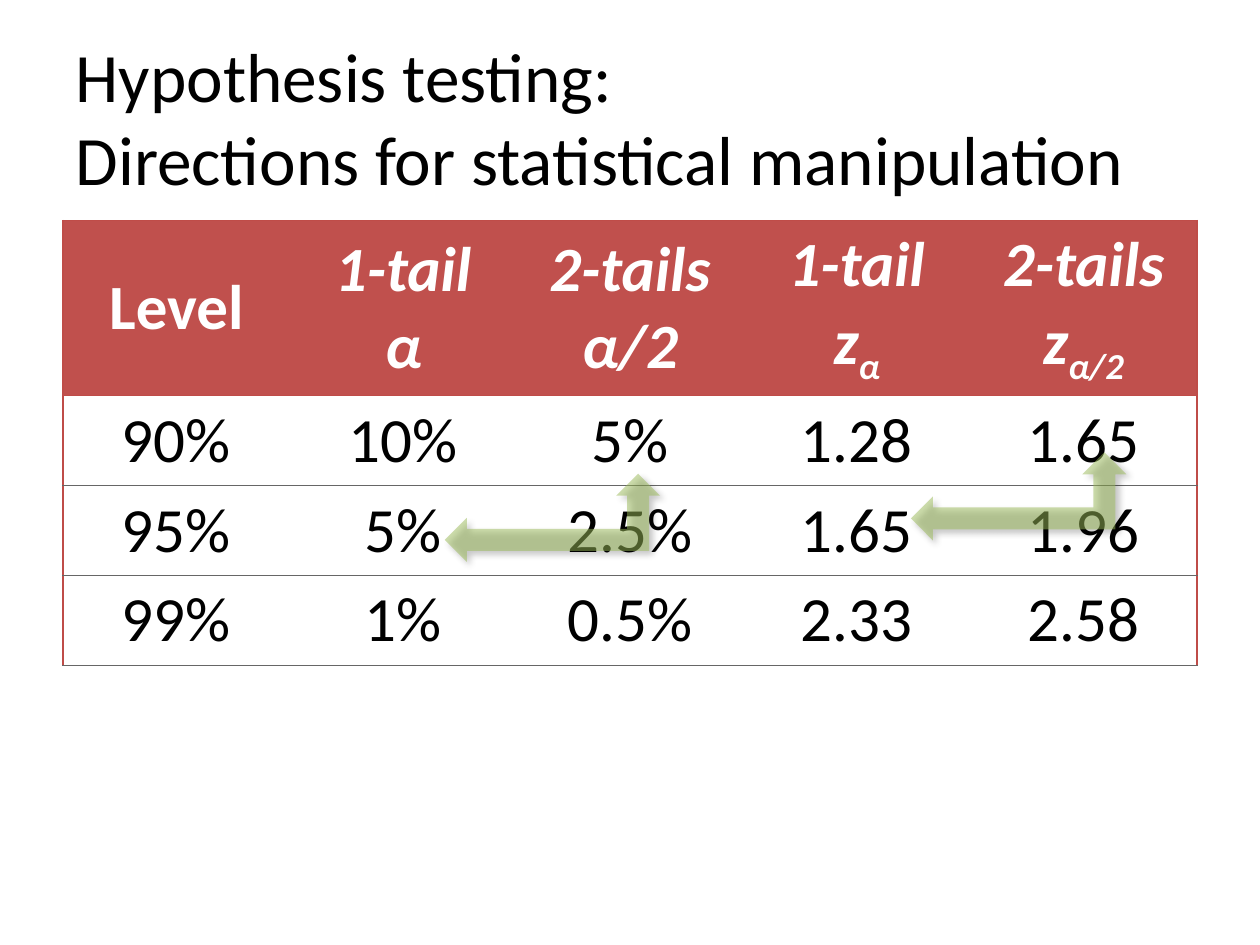
from typing import NamedTuple

from lxml.etree import SubElement as Sub
from pptx import Presentation
from pptx.dml.color import RGBColor as RGB
from pptx.enum.shapes import MSO_SHAPE as Shape
from pptx.enum.text import MSO_ANCHOR as Anchor, MSO_AUTO_SIZE as Fit, PP_ALIGN as Align
from pptx.oxml.ns import qn
from pptx.util import Inches, Pt

FONT = "Calibri"
COLORS = {
    "text": "000000",
    "white": "FFFFFF",
    "head": "C0504D",
    "edge": "BF4C48",
    "rule": "666666",
    "arrow": "9BBB59",
}


class Box(NamedTuple):
    left: float
    top: float
    width: float
    height: float

    def lengths(self) -> list:
        return [Inches(v) for v in self]


class Line(NamedTuple):
    color: str
    width: float


TITLE = Box(0.5, 0.3, 9, 1.25)
TABLE = Box(0.5, 1.75, 9, 3.52)
HEAD_H, ROW_H = 1.39, 0.71
ARROWS = [Box(7.23, 3.59, 1.71, 0.7), Box(3.53, 3.76, 1.71, 0.7)]
EDGE = Line("edge", 0.75)
RULE = Line("rule", 0.5)

# Each newline starts a paragraph; text after "_" is a subscript.
HEADS = ["Level", "1-tail\nα", "2-tails\nα/2", "1-tail\nz_α", "2-tails\nz_α/2"]
ROWS = [
    ["90%", "10%", "5%", "1.28", "1.65"],
    ["95%", "5%", "2.5%", "1.65", "1.96"],
    ["99%", "1%", "0.5%", "2.33", "2.58"],
]


def write(frame, text: str, *, size: float = 36, color: str = "text",
          bold: bool = False, italic: bool = False, align=Align.CENTER) -> None:
    """Fill a frame, with "_" before a subscript and "\\v" as a line break."""
    frame.text = text.replace("_", "")
    for para, source in zip(frame.paragraphs, text.split("\n")):
        para.alignment = align
        base, _, sub = source.partition("_")
        if sub:
            para.runs[0].text = base
            low = para.add_run()
            low.text = sub
            low.font._element.set("baseline", "-25000")
        for run in para.runs:
            font = run.font
            font.name, font.size = FONT, Pt(size)
            font.bold, font.italic = bold, italic
            font.color.rgb = RGB.from_string(COLORS[color])


def border(cell, sides: dict[str, Line]) -> None:
    props = cell._tc.get_or_add_tcPr()
    for side in "LRTB":
        if side in sides:
            line = sides[side]
            node = Sub(props, qn(f"a:ln{side}"), w=str(Pt(line.width)))
            fill = Sub(node, qn("a:solidFill"))
            Sub(fill, qn("a:srgbClr"), val=COLORS[line.color])


def add_table(slide) -> None:
    grid = [HEADS, *ROWS]
    count = len(HEADS)
    frame = slide.shapes.add_table(len(grid), count, *TABLE.lengths())
    table = frame.table
    table.horz_banding = table.first_row = False
    style = table._tbl.tblPr.find(qn("a:tableStyleId"))
    style.text = "{2D5ABB26-0587-4C30-8999-92F81FD0307C}"
    for col in table.columns:
        col.width = Inches(TABLE.width / count)
    for r, texts in enumerate(grid):
        head = r == 0
        table.rows[r].height = Inches(HEAD_H if head else ROW_H)
        for c, text in enumerate(texts):
            cell = table.cell(r, c)
            sides = {"T": EDGE if r < 2 else RULE, "B": EDGE if head else RULE}
            if c == 0:
                sides["L"] = EDGE
            if c == count - 1:
                sides["R"] = EDGE
            border(cell, sides)
            cell.fill.solid()
            cell.fill.fore_color.rgb = RGB.from_string(COLORS["head" if head else "white"])
            cell.vertical_anchor = Anchor.MIDDLE
            write(cell.text_frame, text, color="white" if head else "text",
                  bold=head, italic=head and c > 0)


def add_arrow(slide, box: Box) -> None:
    """Draw a half-clear left-up arrow with a soft shadow."""
    arrow = slide.shapes.add_shape(Shape.LEFT_UP_ARROW, *box.lengths())
    arrow.fill.solid()
    arrow.fill.fore_color.rgb = RGB.from_string(COLORS["arrow"])
    arrow.line.fill.background()
    arrow.shadow.inherit = False
    props = arrow._element.spPr
    tint = props.find(qn("a:solidFill")).find(qn("a:srgbClr"))
    Sub(tint, qn("a:alpha"), val="50000")
    shade = Sub(props.find(qn("a:effectLst")), qn("a:outerShdw"), blurRad=str(Pt(4)),
                dist=str(Pt(3)), dir=str(45 * 60000), algn="tl", rotWithShape="0")
    black = Sub(shade, qn("a:srgbClr"), val=COLORS["text"])
    Sub(black, qn("a:alpha"), val="43000")


def main() -> None:
    deck = Presentation()
    deck.slide_width, deck.slide_height = Inches(10), Inches(7.5)
    slide = deck.slides.add_slide(deck.slide_layouts[5])
    title = slide.shapes.title
    title.left, title.top, title.width, title.height = TITLE.lengths()
    frame = title.text_frame
    frame.auto_size, frame.vertical_anchor = Fit.NONE, Anchor.MIDDLE
    write(frame, "Hypothesis testing:\vDirections for statistical manipulation",
          size=39.6, align=Align.LEFT)
    add_table(slide)
    for box in ARROWS:
        add_arrow(slide, box)
    deck.save("out.pptx")


if __name__ == "__main__":
    main()
